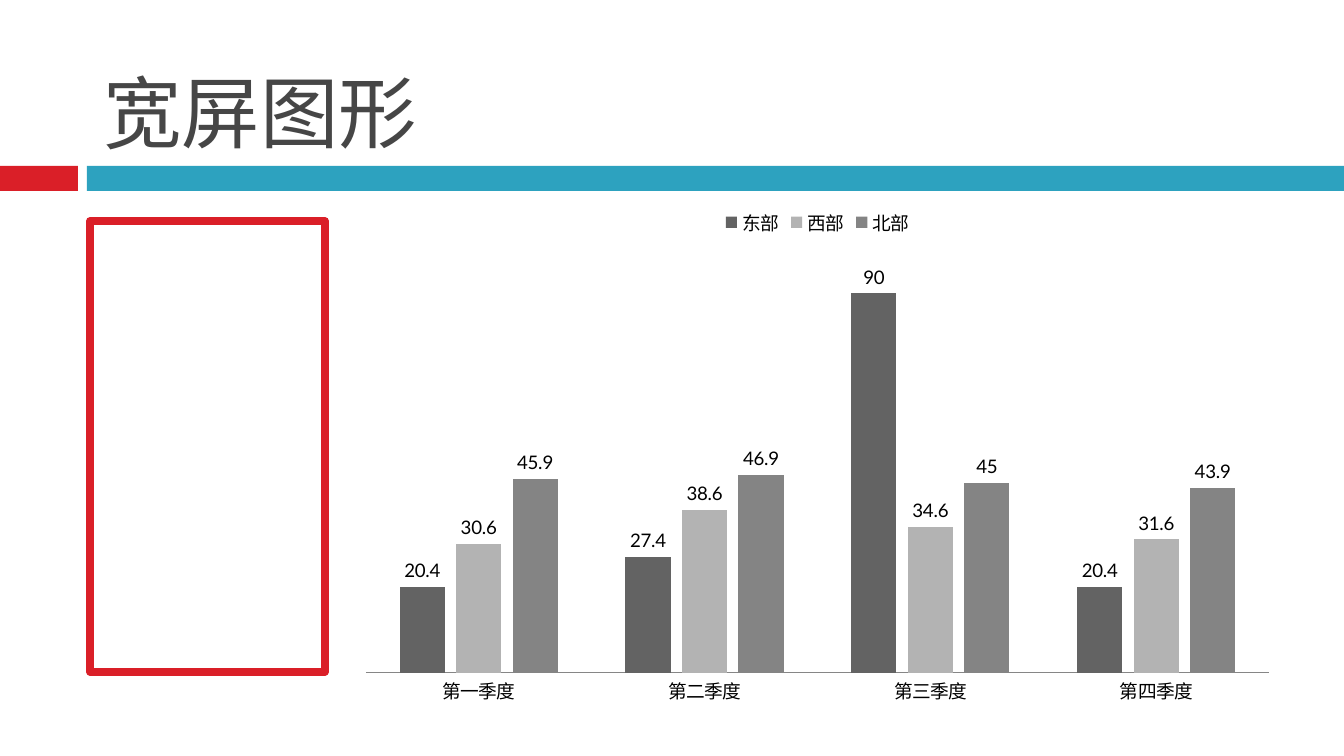
from dataclasses import dataclass
from typing import Any, Optional

import pptx
import pptx.chart.data
import pptx.dml.color
import pptx.enum.chart
import pptx.enum.shapes
import pptx.enum.text
import pptx.util

PX = 914400 / 134.4
FONT = "Lato"
COLORS = {"red": "DA1F28", "blue": "2DA2BF", "title": "464646", "text": "000000",
          "east": "636363", "west": "B3B3B3", "north": "848484", "axis": "868686"}


@dataclass
class Box:
    x: int
    y: int
    w: int
    h: int
    fill: Optional[str] = None
    line: Optional[str] = None
    line_pt: float = 0


@dataclass
class Region:
    name: str
    color: str
    values: tuple[float, ...]


BOXES = [Box(0, 166, 78, 25, fill="red"),
         Box(87, 166, 1257, 25, fill="blue"),
         Box(90, 221, 235, 451, line="red", line_pt=4)]
QUARTERS = [f"第{n}季度" for n in "一二三四"]
REGIONS = [Region("东部", "east", (20.4, 27.4, 90, 20.4)),
           Region("西部", "west", (30.6, 38.6, 34.6, 31.6)),
           Region("北部", "north", (45.9, 46.9, 45, 43.9))]


def px(n: int) -> int:
    return round(n * PX)


def place(b: Box) -> tuple[int, ...]:
    return tuple(px(n) for n in (b.x, b.y, b.w, b.h))


def rgb(name: str) -> pptx.dml.color.RGBColor:
    return pptx.dml.color.RGBColor.from_string(COLORS[name])


def set_attrs(obj: Any, values: dict[str, Any]) -> None:
    for key, value in values.items():
        setattr(obj, key, value)


def set_font(font: Any, size: float, color: str) -> None:
    set_attrs(font, {"name": FONT, "size": pptx.util.Pt(size), "bold": False})
    font.color.rgb = rgb(color)


def paint(fill: Any, color: Optional[str]) -> None:
    if color:
        fill.solid()
        fill.fore_color.rgb = rgb(color)
    else:
        fill.background()


def draw_box(shapes: Any, b: Box) -> None:
    sp = shapes.add_shape(pptx.enum.shapes.MSO_SHAPE.RECTANGLE, *place(b))
    sp.shadow.inherit = False
    paint(sp.fill, b.fill)
    paint(sp.line.fill, b.line)
    if b.line:
        sp.line.width = pptx.util.Pt(b.line_pt)


def draw_title(shapes: Any, b: Box, text: str) -> None:
    tf = shapes.add_textbox(*place(b)).text_frame
    set_attrs(tf, {"word_wrap": True,
                   "vertical_anchor": pptx.enum.text.MSO_ANCHOR.BOTTOM})
    r = tf.paragraphs[0].add_run()
    r.text = text
    set_font(r.font, 42, "title")


def draw_chart(shapes: Any, b: Box) -> None:
    enums = pptx.enum.chart
    data = pptx.chart.data.CategoryChartData()
    data.categories = QUARTERS
    for region in REGIONS:
        data.add_series(region.name, region.values)
    chart = shapes.add_chart(enums.XL_CHART_TYPE.COLUMN_CLUSTERED,
                             *place(b), data).chart
    set_attrs(chart, {"has_title": False, "has_legend": True})
    set_font(chart.font, 10, "text")
    set_attrs(chart.legend, {"position": enums.XL_LEGEND_POSITION.TOP,
                             "include_in_layout": False})

    # Axes
    set_attrs(chart.value_axis, {"visible": False, "has_major_gridlines": False,
                                 "minimum_scale": 0, "maximum_scale": 100})
    axis = chart.category_axis
    axis.major_tick_mark = enums.XL_TICK_MARK.NONE
    axis.format.line.color.rgb = rgb("axis")
    axis.format.line.width = pptx.util.Pt(0.75)

    # Bars and their labels
    plot = chart.plots[0]
    set_attrs(plot, {"gap_width": 150, "overlap": -25,
                     "vary_by_categories": False, "has_data_labels": True})
    set_attrs(plot.data_labels, {
        "show_value": True, "number_format": "General",
        "number_format_is_linked": False,
        "position": enums.XL_LABEL_POSITION.OUTSIDE_END})
    for series, region in zip(plot.series, REGIONS):
        series.invert_if_negative = False
        paint(series.format.fill, region.color)


def main() -> None:
    prs = pptx.Presentation()
    set_attrs(prs, {"slide_width": px(1344), "slide_height": px(756)})
    shapes = prs.slides.add_slide(prs.slide_layouts[6]).shapes

    # Bands and empty frame
    for b in BOXES:
        draw_box(shapes, b)

    # Title and chart
    draw_title(shapes, Box(90, 11, 1187, 154), "宽屏图形")
    draw_chart(shapes, Box(347, 194, 941, 521))
    prs.save("out.pptx")


main()
